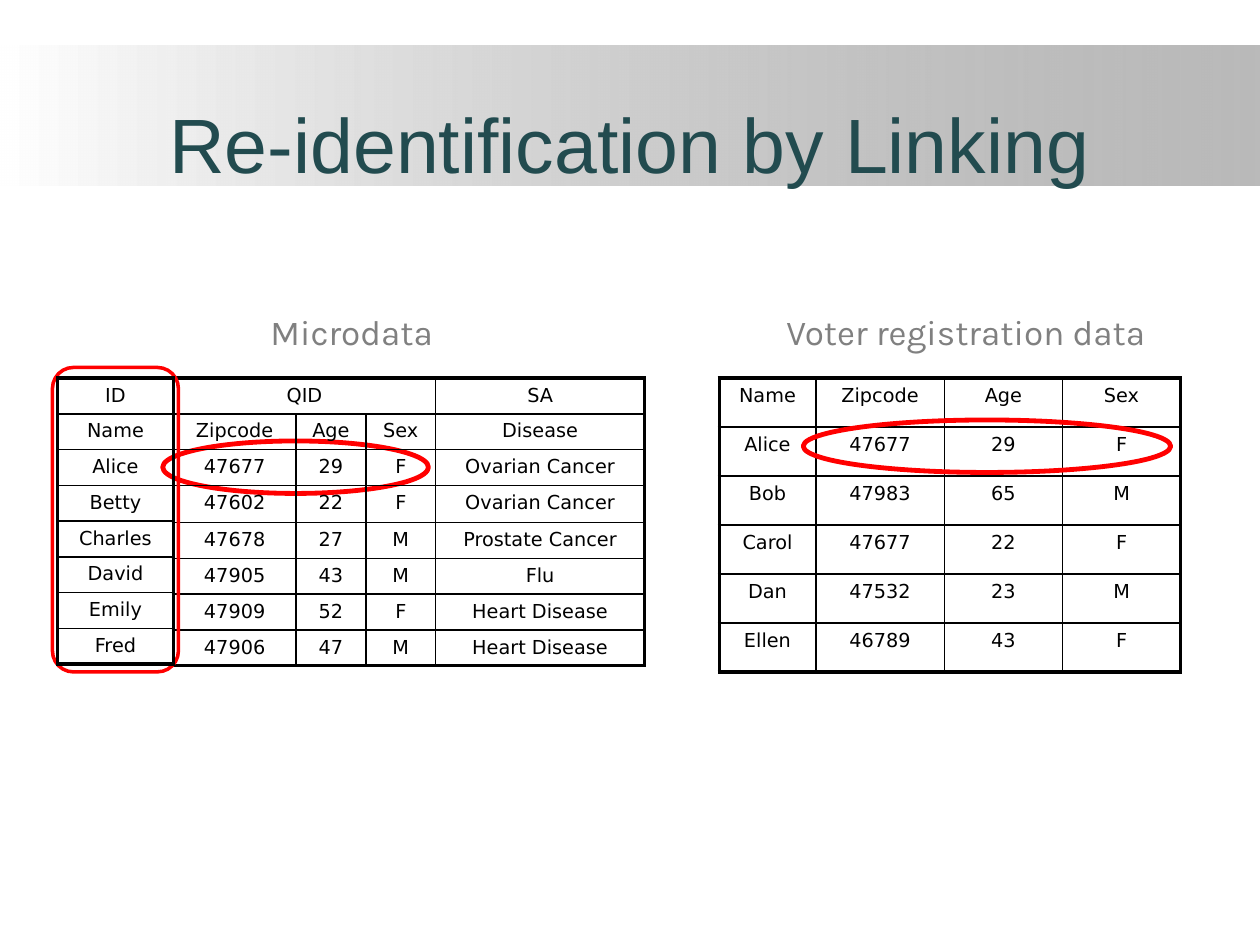
from lxml.etree import SubElement
from pptx import Presentation
from pptx.dml.color import RGBColor
from pptx.enum.shapes import MSO_SHAPE
from pptx.enum.text import MSO_ANCHOR, PP_ALIGN
from pptx.oxml.ns import qn
from pptx.util import Inches, Pt

BLACK = RGBColor(0x00, 0x00, 0x00)
WHITE = RGBColor(0xFF, 0xFF, 0xFF)
GRAY = RGBColor(0x80, 0x80, 0x80)
TEAL = RGBColor(0x22, 0x4B, 0x4F)
RED = RGBColor(0xFF, 0x00, 0x00)

VOTERS = [
    ["Name", "Zipcode", "Age", "Sex"],
    ["Alice", "47677", "29", "F"],
    ["Bob", "47983", "65", "M"],
    ["Carol", "47677", "22", "F"],
    ["Dan", "47532", "23", "M"],
    ["Ellen", "46789", "43", "F"],
]
MICRODATA = [
    ["QID", "", "", "SA"],
    ["Zipcode", "Age", "Sex", "Disease"],
    ["47677", "29", "F", "Ovarian Cancer"],
    ["47602", "22", "F", "Ovarian Cancer"],
    ["47678", "27", "M", "Prostate Cancer"],
    ["47905", "43", "M", "Flu"],
    ["47909", "52", "F", "Heart Disease"],
    ["47906", "47", "M", "Heart Disease"],
]
IDENTITIES = ["ID", "Name", "Alice", "Betty", "Charles", "David", "Emily", "Fred"]


class SlideBuilder:
    """Places elements on a grid of 120 columns by 90 rows."""

    thin, thick = Pt(1), Pt(2.25)

    def __init__(self, deck):
        self.page = deck.slides.add_slide(deck.slide_layouts[6])
        self.unit = deck.slide_width / 120

    def grid(self, *lengths):
        return [round(length * self.unit) for length in lengths]

    def style(self, para, font, size, color):
        para.alignment = PP_ALIGN.CENTER
        for span in para.runs:
            span.font.name = font
            span.font.size = Pt(size)
            span.font.color.rgb = color

    def text(self, place, words, font, size, color, anchor=MSO_ANCHOR.TOP):
        box = self.page.shapes.add_textbox(*self.grid(*place))
        frame = box.text_frame
        frame.word_wrap = True
        frame.vertical_anchor = anchor
        frame.text = words
        self.style(frame.paragraphs[0], font, size, color)

    def band(self, place):
        band = self.page.shapes.add_shape(MSO_SHAPE.RECTANGLE, *self.grid(*place))
        band.shadow.inherit = False
        band.line.fill.background()
        band.fill.gradient()
        band.fill.gradient_angle = 0
        for stop, color in zip(band.fill.gradient_stops, (WHITE, GRAY)):
            stop.color.rgb = color
        # The gray end is partly transparent
        gray_end = list(band.fill._xPr.iter(qn("a:srgbClr")))[-1]
        SubElement(gray_end, qn("a:alpha"), val="54000")

    def outline(self, kind, place, width):
        mark = self.page.shapes.add_shape(kind, *self.grid(*place))
        mark.shadow.inherit = False
        mark.fill.background()
        mark.line.color.rgb = RED
        mark.line.width = Pt(width)

    def borders(self, cell, outer):
        """Draw the four sides; those on the table's edge are thick."""
        properties = cell._tc.get_or_add_tcPr()
        for side, is_outer in zip("LRTB", outer):
            width = self.thick if is_outer else self.thin
            line = SubElement(properties, qn(f"a:ln{side}"), w=str(width))
            fill = SubElement(line, qn("a:solidFill"))
            SubElement(fill, qn("a:srgbClr"), val=str(BLACK))

    def table(self, left, top, widths, heights, rows, merge=None):
        place = self.grid(left, top, sum(widths), sum(heights))
        table = self.page.shapes.add_table(len(rows), len(widths), *place).table
        table.first_row = table.horz_banding = False
        for column, width in zip(table.columns, self.grid(*widths)):
            column.width = width
        for row, height in zip(table.rows, self.grid(*heights)):
            row.height = height
        last_row, last_column = len(rows) - 1, len(widths) - 1
        for i, values in enumerate(rows):
            for j, value in enumerate(values):
                cell = table.cell(i, j)
                cell.text_frame.text = value
                self.style(cell.text_frame.paragraphs[0], "DejaVu Sans", 11, BLACK)
                self.borders(cell, (j == 0, j == last_column, i == 0, i == last_row))
                cell.fill.background()
        if merge:
            first, last = merge
            table.cell(*first).merge(table.cell(*last))


def main():
    deck = Presentation()
    deck.slide_width, deck.slide_height = Inches(10), Inches(7.5)
    slide = SlideBuilder(deck)

    # Title on its gradient band
    slide.band((0, 4.3, 120, 13.4))
    slide.text((6, 3.6, 108, 15), "Re-identification by Linking",
               "Arial", 44, TEAL, MSO_ANCHOR.BOTTOM)

    # Voter registration table
    slide.table(68.5, 36, [9.2, 12.25, 11.25, 11.25], [4.67] * 6, VOTERS)
    slide.text((71.5, 29, 41, 4), "Voter registration data", "Karla", 20, GRAY)

    # Linked records
    slide.outline(MSO_SHAPE.OVAL, (76.5, 40, 35, 5), 2.75)
    slide.outline(MSO_SHAPE.OVAL, (15.5, 42, 25.3, 5), 2.75)

    # Microdata table, with the identity column marked and set apart
    slide.table(16.5, 36, [11.7, 6.65, 6.65, 19.9],
                [3.3] * 3 + [3.55] + [3.3] * 4, MICRODATA, merge=((0, 0), (0, 2)))
    slide.outline(MSO_SHAPE.ROUNDED_RECTANGLE, (5, 35, 12, 29), 2)
    slide.table(5.5, 36, [11], [3.38] * 8, [[name] for name in IDENTITIES])
    slide.text((12.5, 29, 42, 5), "Microdata", "Karla", 20, GRAY)

    deck.save("out.pptx")


if __name__ == "__main__":
    main()
